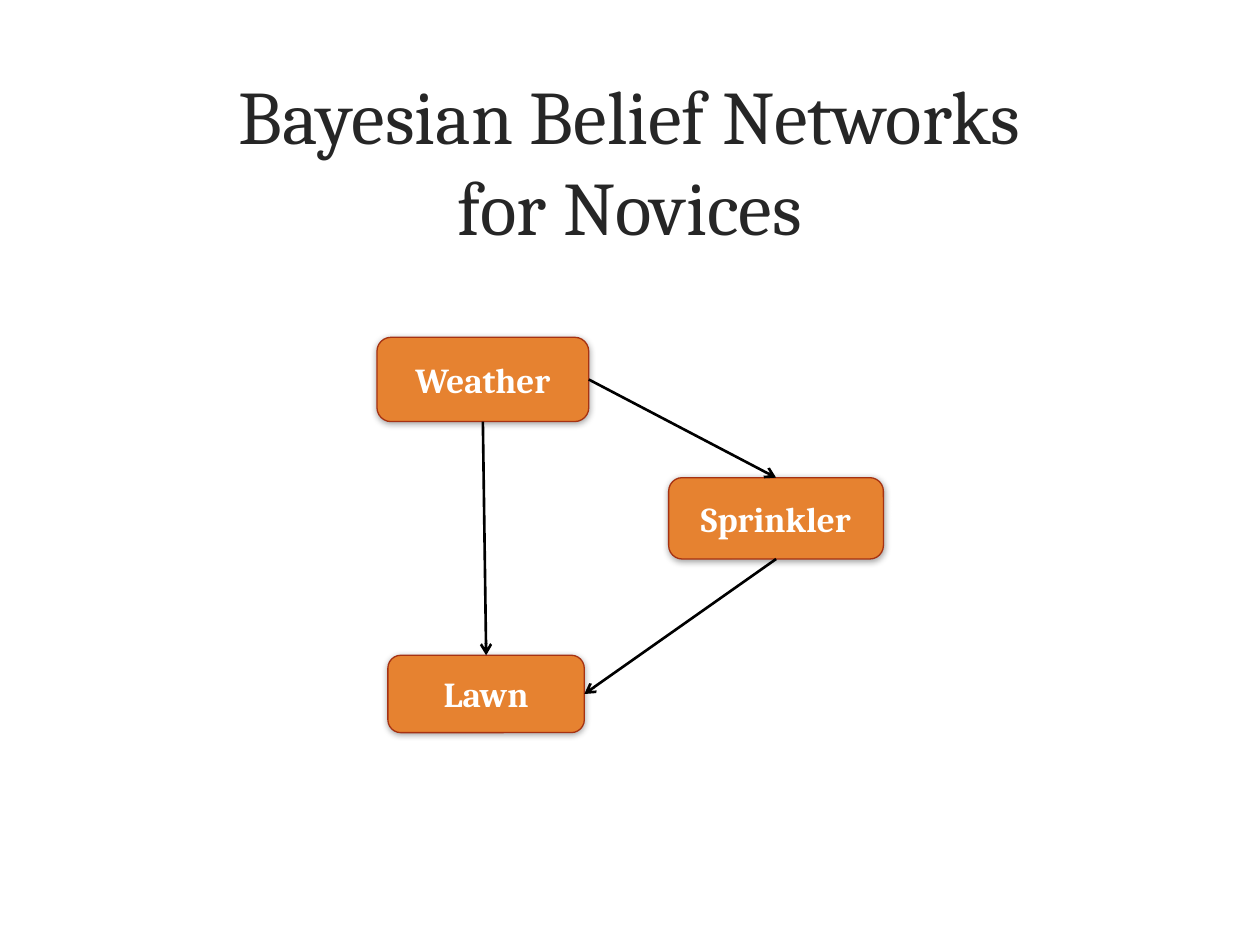
from lxml import etree
from pptx import Presentation
from pptx.dml.color import RGBColor
from pptx.enum import shapes, text
from pptx.oxml import parse_xml
from pptx.oxml.ns import nsdecls, qn
from pptx.util import Cm, Pt

FONT = "Cambria"
INK = RGBColor(0x26, 0x26, 0x26)
ORANGE = RGBColor(0xE6, 0x82, 0x30)
RUST = RGBColor(0xA6, 0x32, 0x12)
WHITE = RGBColor(0xFF, 0xFF, 0xFF)
BLACK = RGBColor(0, 0, 0)
TOP, BOTTOM, RIGHT = 0, 2, 3

NODES = {
    "Weather": (0, 0, 4.27, 1.7),
    "Lawn": (0.22, 6.41, 3.96, 1.56),
    "Sprinkler": (5.88, 2.83, 4.33, 1.64),
}
EDGES = [
    ("Weather", BOTTOM, "Lawn", TOP),
    ("Sprinkler", BOTTOM, "Lawn", RIGHT),
    ("Weather", RIGHT, "Sprinkler", TOP),
]


def format_text(tf, size, color, bold=False):
    """Centre the text in its frame and style every run."""
    tf.word_wrap = True
    tf.vertical_anchor = text.MSO_ANCHOR.MIDDLE
    for p in tf.paragraphs:
        p.alignment = text.PP_ALIGN.CENTER
        for r in p.runs:
            r.font.name, r.font.size, r.font.bold = FONT, Pt(size), bold
            r.font.color.rgb = color


def add_title(s, left, top, width, height):
    """Fill and place the title placeholder."""
    sp = s.shapes.title
    sp.left, sp.top, sp.width, sp.height = map(Cm, (left, top, width, height))
    tf = sp.text_frame
    tf.text = "Bayesian Belief Networks\vfor Novices"
    tf.auto_size = text.MSO_AUTO_SIZE.NONE
    format_text(tf, 43.2, INK)


def add_node(grp, label, left, top, width, height):
    """Add one rounded network node with a soft shadow."""
    sp = grp.shapes.add_shape(shapes.MSO_SHAPE.ROUNDED_RECTANGLE,
                              Cm(left), Cm(top), Cm(width), Cm(height))
    sp.fill.solid()
    sp.fill.fore_color.rgb = ORANGE
    sp.line.color.rgb = RUST
    sp.line.width = Pt(0.75)
    sp.shadow.inherit = False
    sp._element.spPr.find(qn("a:effectLst")).append(parse_xml(
        f'<a:outerShdw {nsdecls("a")} blurRad="{Pt(4)}" dist="{Pt(1)}" '
        'dir="5400000" rotWithShape="0"><a:srgbClr val="000000">'
        '<a:alpha val="37000"/></a:srgbClr></a:outerShdw>'))
    sp.text_frame.text = label
    format_text(sp.text_frame, 20, WHITE, True)
    return sp


def add_arrow(grp, start, start_site, end, end_site):
    """Join two nodes with an open-headed arrow."""
    cx = grp.shapes.add_connector(shapes.MSO_CONNECTOR.STRAIGHT, 0, 0, 0, 0)
    cx.begin_connect(start, start_site)
    cx.end_connect(end, end_site)
    cx.line.color.rgb = BLACK
    cx.line.width = Pt(1.5)
    etree.SubElement(cx.line._get_or_add_ln(), qn("a:tailEnd"), type="arrow")
    etree.SubElement(cx._element.spPr, qn("a:effectLst"))


def add_network(s, left, top):
    """Draw the grouped belief network from its top left corner."""
    grp = s.shapes.add_group_shape()
    nodes = {label: add_node(grp, label, left + x, top + y, w, h)
             for label, (x, y, w, h) in NODES.items()}
    for start, start_site, end, end_site in EDGES:
        add_arrow(grp, nodes[start], start_site, nodes[end], end_site)


def main():
    """Build and save the slide."""
    prs = Presentation()
    prs.slide_width, prs.slide_height = Cm(25.4), Cm(19.05)
    s = prs.slides.add_slide(prs.slide_layouts[5])
    add_title(s, 1.53, 1.22, 22.33, 4.01)
    add_network(s, 7.6, 6.8)
    prs.save("out.pptx")


if __name__ == "__main__":
    main()
